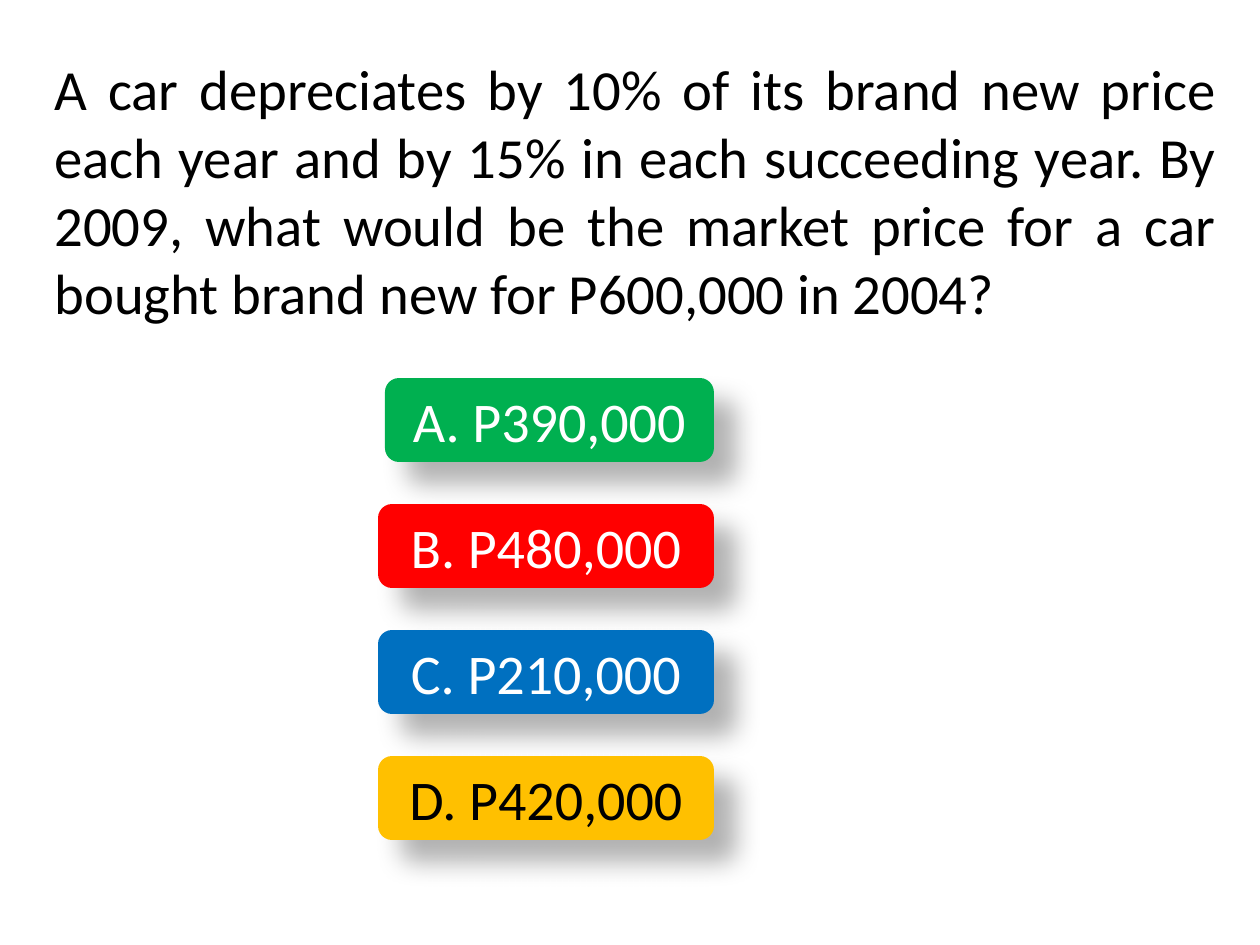
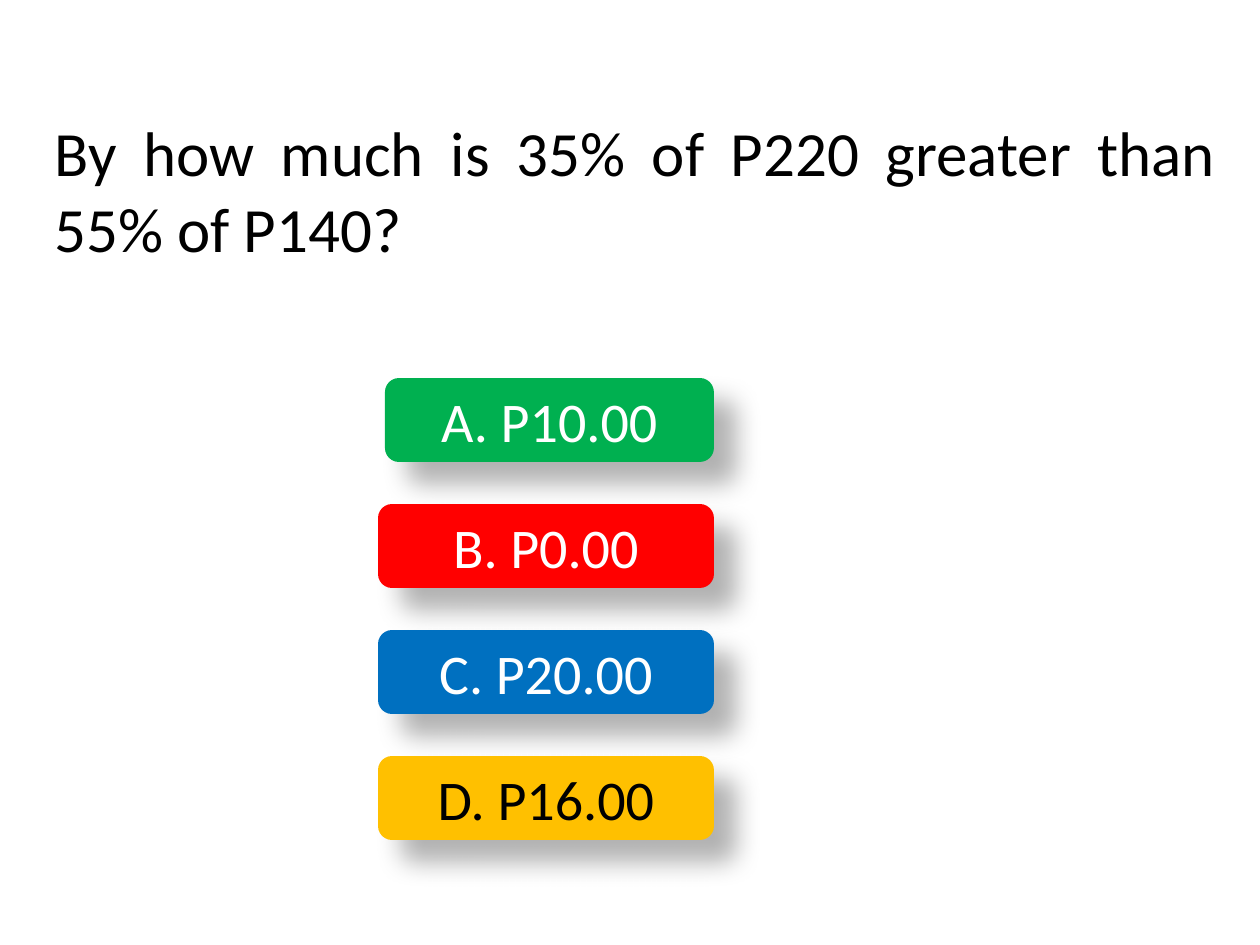
from lxml.etree import SubElement
from pptx import Presentation
from pptx.dml.color import RGBColor
from pptx.enum.shapes import MSO_SHAPE as Preset
from pptx.enum.text import MSO_ANCHOR as Anchor, PP_ALIGN as Align
from pptx.oxml.ns import qn
from pptx.util import Emu, Pt

PX_PER_INCH = 126
FONT = "Calibri"
BLACK, WHITE = "000000", "FFFFFF"
QUESTION_BOX = (42, 53, 1187, 273)
CHOICES_BOX = (378, 378, 336, 462)
CHOICE_HEIGHT = 84
CHOICE_STYLES = [
    ("A", "00B050", WHITE, 7),
    ("B", "FF0000", WHITE, 0),
    ("C", "0070C0", WHITE, 0),
    ("D", "FFC000", BLACK, 0),
]
QUIZ = [
    ("A car depreciates by 10% of its brand new price each year and by 15% in "
     "each succeeding year. By 2009, what would be the market price for a car "
     "bought brand new for P600,000 in 2004?", 32.4,
     ["P390,000", "P480,000", "P210,000", "P420,000"]),
    ("By how much is 35% of P220 greater than 55% of P140?", 36,
     ["P10.00", "P0.00", "P20.00", "P16.00"]),
]


def px(length):
    """Turn a length in px into EMU."""
    return Emu(round(length * 914400 / PX_PER_INCH))


def color(hex_code):
    """Turn a hex string into a colour."""
    return RGBColor.from_string(hex_code)


def write(shape, text, size, font_color, align):
    """Set one vertically centred paragraph in a shape."""
    frame = shape.text_frame
    frame.word_wrap = True
    frame.vertical_anchor = Anchor.MIDDLE
    paragraph = frame.paragraphs[0]
    paragraph.text = text
    paragraph.alignment = align
    font = paragraph.font
    font.name, font.size = FONT, Pt(size)
    font.color.rgb = color(font_color)


def cast_shadow(shape):
    """Give a shape a soft shadow to the lower right."""
    shape.shadow.inherit = False
    effects = shape._element.spPr.find(qn("a:effectLst"))
    shadow = SubElement(effects, qn("a:outerShdw"), blurRad=str(Pt(15)),
                        dist=str(Pt(18)), dir=str(45 * 60000),
                        algn="ctr", rotWithShape="0")
    tint = SubElement(shadow, qn("a:srgbClr"), val=BLACK)
    SubElement(tint, qn("a:alpha"), val="30000")


def add_question(slide, box, question, size):
    """Place the justified question text."""
    textbox = slide.shapes.add_textbox(*map(px, box))
    write(textbox, question, size, BLACK, Align.JUSTIFY)


def add_choices(slide, box, answers):
    """Stack the four answer buttons evenly in the box."""
    left, top, width, height = box
    step = (height - CHOICE_HEIGHT) / (len(answers) - 1)
    for row, (answer, style) in enumerate(zip(answers, CHOICE_STYLES)):
        letter, fill, font_color, indent = style
        bounds = (left + indent, top + row * step, width - indent, CHOICE_HEIGHT)
        button = slide.shapes.add_shape(Preset.ROUNDED_RECTANGLE, *map(px, bounds))
        button.fill.solid()
        button.fill.fore_color.rgb = color(fill)
        button.line.fill.background()
        cast_shadow(button)
        write(button, f"{letter}. {answer}", 32, font_color, Align.CENTER)


def main():
    """Build the quiz and save it."""
    deck = Presentation()
    deck.slide_width, deck.slide_height = px(1260), px(945)
    for question, size, answers in QUIZ:
        slide = deck.slides.add_slide(deck.slide_layouts[6])
        add_question(slide, QUESTION_BOX, question, size)
        add_choices(slide, CHOICES_BOX, answers)
    deck.save("out.pptx")


if __name__ == "__main__":
    main()
